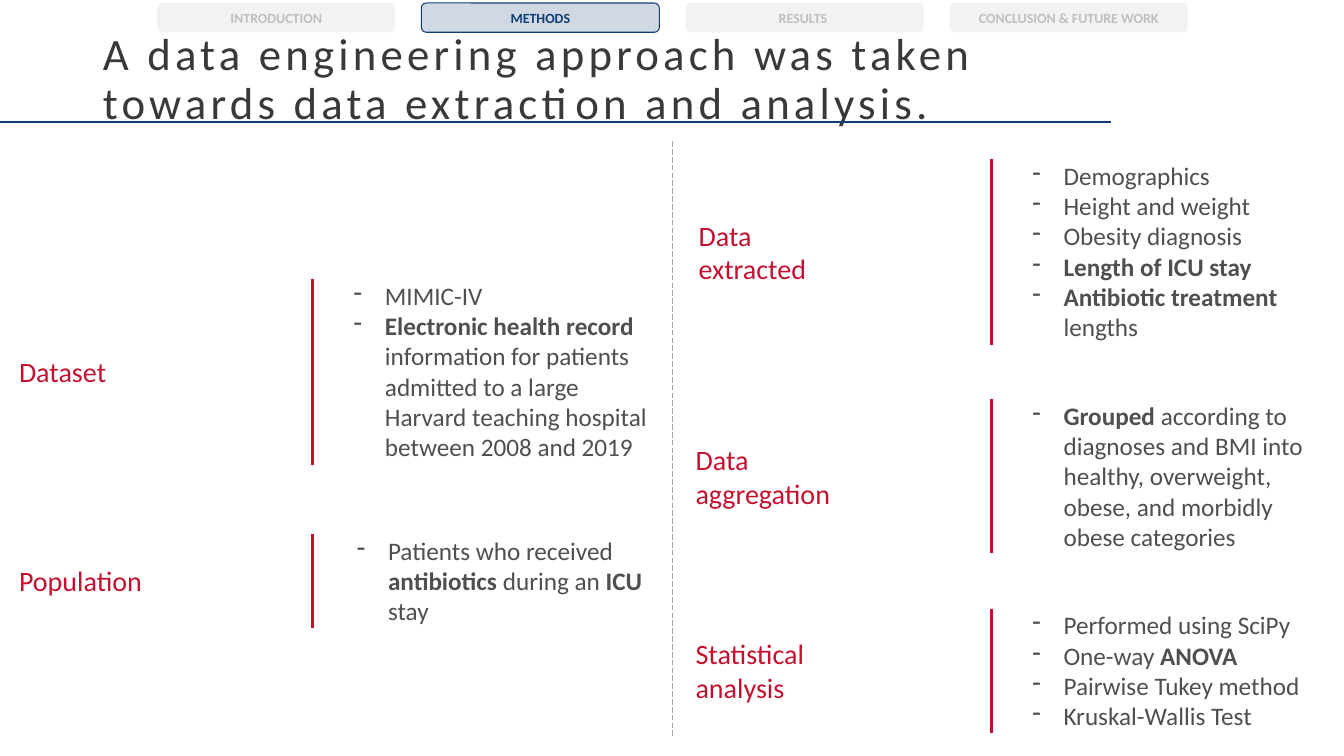
from dataclasses import dataclass

from lxml import etree
from pptx import Presentation
from pptx.dml.color import RGBColor
from pptx.enum.dml import MSO_LINE
from pptx.enum.shapes import MSO_CONNECTOR, MSO_SHAPE
from pptx.enum.text import MSO_ANCHOR, MSO_AUTO_SIZE, PP_ALIGN
from pptx.oxml.ns import qn
from pptx.util import Inches, Pt

STRAIGHT = MSO_CONNECTOR.STRAIGHT
ROUNDED = MSO_SHAPE.ROUNDED_RECTANGLE
LONG_DASH = MSO_LINE.LONG_DASH
MIDDLE = MSO_ANCHOR.MIDDLE
NO_FIT = MSO_AUTO_SIZE.NONE
LEFT = PP_ALIGN.LEFT
CENTER = PP_ALIGN.CENTER


@dataclass(frozen=True)
class Theme:
    font: str = "Calibri"
    navy: str = "123D74"
    red: str = "C4112F"
    title: str = "3B3838"
    body: str = "504F4F"
    divider: str = "A5A5A5"
    tab_fill: str = "F2F2F2"
    tab_text: str = "BFBFBF"
    title_size: int = 32
    label_size: int = 20
    body_size: int = 18
    tab_size: int = 10


@dataclass(frozen=True)
class Section:
    label: str
    bullets: tuple
    label_left: float
    label_width: float
    label_lines: int
    bar_left: float
    top: float
    height: float
    body_gap: float = 0.31


THEME = Theme()
BODY_WIDTH = 3.19
BAR_INSET = 0.04
TABS = ("INTRODUCTION", "METHODS", "RESULTS ", "CONCLUSION & FUTURE WORK")
ACTIVE_TAB = "METHODS"
LEFT_BAR, RIGHT_BAR = 3.1, 9.83

SECTIONS = (
    Section("Data aggregation",
            ("**Grouped** according to diagnoses and BMI into healthy, "
             "overweight, obese, and morbidly obese categories",),
            6.8, 1.59, 2, RIGHT_BAR, 3.92, 1.61),
    Section("Population",
            ("Patients who received **antibiotics** during an **ICU** stay",),
            0.09, 1.42, 1, LEFT_BAR, 5.26, 1.01, 0.34),
    Section("Data extracted",
            ("Demographics", "Height and weight", "Obesity diagnosis",
             "**Length of ICU stay**", "**Antibiotic treatment **lengths"),
            6.83, 1.85, 2, RIGHT_BAR, 1.54, 1.92),
    Section("Statistical analysis",
            ("Performed using SciPy", "One-way **ANOVA**",
             "Pairwise Tukey method", "Kruskal-Wallis Test"),
            6.8, 1.42, 2, RIGHT_BAR, 6, 1.31),
    Section("Dataset",
            ("MIMIC-IV",
             "**Electronic health record** information for patients admitted to "
             "a large Harvard teaching hospital between 2008 and 2019"),
            0.09, 1.85, 1, LEFT_BAR, 2.73, 1.92),
)


def set_font(paragraph, size, color, bold=None):
    font = paragraph.font
    font.name = THEME.font
    font.size = Pt(size)
    font.color.rgb = RGBColor.from_string(color)
    font.bold = bold


def add_line(shapes, start, end, color, width):
    line = shapes.add_connector(STRAIGHT, *map(Inches, start + end))
    line.line.color.rgb = RGBColor.from_string(color)
    line.line.width = Pt(width)
    etree.SubElement(line._element.spPr, qn("a:effectLst"))
    return line


def add_text_frame(shapes, left, top, width, height):
    box = shapes.add_textbox(*map(Inches, (left, top, width, height)))
    box.text_frame.word_wrap = True
    return box.text_frame


def add_bullet(paragraph, text):
    properties = paragraph._p.get_or_add_pPr()
    properties.set("marL", str(Inches(0.31)))
    properties.set("indent", str(-Inches(0.31)))
    etree.SubElement(properties, qn("a:buChar")).set("char", "-")
    set_font(paragraph, THEME.body_size, THEME.body)
    for index, part in enumerate(text.split("**")):
        if part:
            run = paragraph.add_run()
            run.text = part
            run.font.bold = index % 2 == 1


def add_title(slide, left, top, width, height):
    title = slide.shapes.title
    title.left, title.top = Inches(left), Inches(top)
    title.width, title.height = Inches(width), Inches(height)
    frame = title.text_frame
    frame.text = ("A data engineering approach was taken "
                  "towards data extraction and analysis.")
    frame.word_wrap = True
    frame.auto_size = NO_FIT
    frame.vertical_anchor = MIDDLE
    paragraph = frame.paragraphs[0]
    paragraph.alignment = LEFT
    paragraph.line_spacing = 0.9
    set_font(paragraph, THEME.title_size, THEME.title)
    paragraph.runs[0].font._element.set("spc", "300")
    rule_top = top + height + 0.01
    add_line(slide.shapes, (0, rule_top), (left + width - 0.01, rule_top),
             THEME.navy, 1.5)


def add_section(slide, section):
    shapes = slide.shapes.add_group_shape().shapes
    label_height = 0.11 + 0.33 * section.label_lines
    label_top = section.top + (section.height - label_height) / 2
    label = add_text_frame(shapes, section.label_left, label_top,
                           section.label_width, label_height)
    label.text = section.label
    set_font(label.paragraphs[0], THEME.label_size, THEME.red)

    body = add_text_frame(shapes, section.bar_left + section.body_gap,
                          section.top, BODY_WIDTH, section.height)
    for index, text in enumerate(section.bullets):
        paragraph = body.add_paragraph() if index else body.paragraphs[0]
        add_bullet(paragraph, text)

    add_line(shapes, (section.bar_left, section.top + BAR_INSET),
             (section.bar_left, section.top + section.height - BAR_INSET),
             THEME.red, 2.25)


def add_tabs(slide, left, top, width, height, pitch):
    for index, name in enumerate(TABS):
        tab = slide.shapes.add_shape(
            ROUNDED, Inches(left + index * pitch), Inches(top),
            Inches(width), Inches(height))
        tab.shadow.inherit = False
        active = name == ACTIVE_TAB
        tab.fill.solid()
        tab.fill.fore_color.rgb = RGBColor.from_string(
            THEME.navy if active else THEME.tab_fill)
        if active:
            color = tab._element.spPr.find(qn("a:solidFill"))[0]
            etree.SubElement(color, qn("a:alpha")).set("val", "20000")
            tab.line.color.rgb = RGBColor.from_string(THEME.navy)
            tab.line.width = Pt(0.75)
        else:
            tab.line.fill.background()
        frame = tab.text_frame
        frame.text = name
        frame.vertical_anchor = MIDDLE
        paragraph = frame.paragraphs[0]
        paragraph.alignment = CENTER
        set_font(paragraph, THEME.tab_size,
                 THEME.navy if active else THEME.tab_text, True)


def main():
    presentation = Presentation()
    presentation.slide_width = Inches(13.33)
    presentation.slide_height = Inches(7.5)
    slide = presentation.slides.add_slide(presentation.slide_layouts[5])
    add_title(slide, 0.92, 0.4, 10.11, 0.8)
    divider = add_line(slide.shapes, (6.67, 1.4), (6.67, 7.3),
                       THEME.divider, 0.5)
    divider.line.dash_style = LONG_DASH
    for section in SECTIONS:
        add_section(slide, section)
    add_tabs(slide, 1.56, 0.03, 2.36, 0.29, 2.62)
    presentation.save("out.pptx")


if __name__ == "__main__":
    main()
